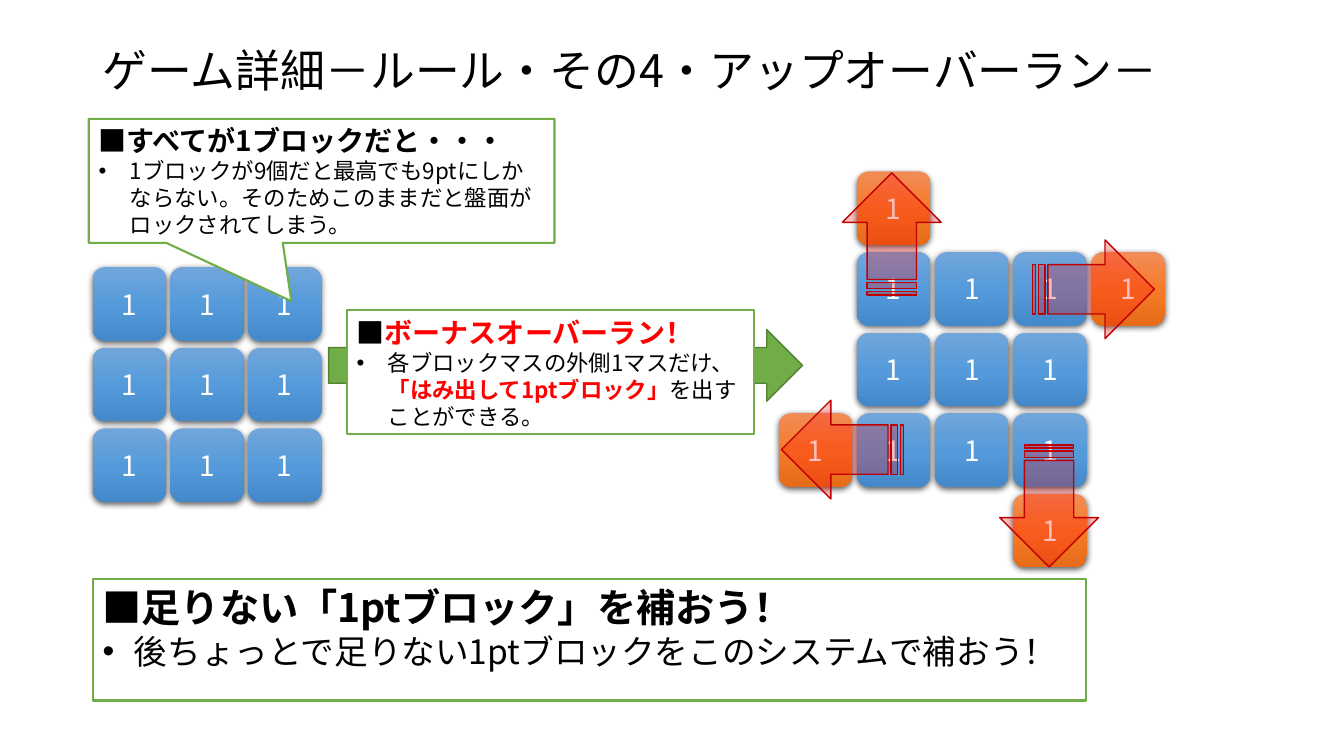
"""Build the slide on rule four of the block game, the up overrun."""
from lxml import etree
from pptx import Presentation
from pptx import util as u
from pptx.dml.color import RGBColor
from pptx.enum import shapes, text
from pptx.oxml.ns import qn

FONT = "Noto Sans CJK JP"
BLACK = RGBColor(0, 0, 0)
WHITE = RGBColor(255, 255, 255)
RED = RGBColor(255, 0, 0)
DARK_RED = RGBColor(0xC0, 0, 0)
GREEN = RGBColor(0x70, 0xAD, 0x47)
DARK_GREEN = RGBColor(0x53, 0x80, 0x35)
BLUES = ("71A6DB", "559BDB", "448ACA")
ORANGES = ("F18C57", "F67B28", "E56C19")

TITLE = "ゲーム詳細－ルール・その4・アップオーバーラン－"
PROBLEM = (
    [("■すべてが1ブロックだと・・・", BLACK, True)],
    [("1ブロックが9個だと最高でも9ptにしかならない。"
      "そのためこのままだと盤面がロックされてしまう。", BLACK, False)],
)
BONUS = (
    [("■", BLACK, True), ("ボーナスオーバーラン！", RED, True)],
    [("各ブロックマスの外側1マスだけ、", BLACK, False),
     ("「はみ出して1ptブロック」", RED, True),
     ("を出すことができる。", BLACK, False)],
)
ADVICE = (
    [("■足りない「1ptブロック」を補おう！", BLACK, True)],
    [("後ちょっとで足りない1ptブロックをこのシステムで補おう！", BLACK, False)],
)

SIDE = 0.73
GRID = [(col, row) for col in range(3) for row in range(3)]
LEFT = (0.92, 2.65, 0.77, 0.8)
RIGHT = (8.5, 2.5, 0.775, 0.8)
EXTRA = [(3, 0), (0, -1), (-1, 2), (2, 3)]
ARROWS = [(10.24, 2.38, 0), (9.8, 4.53, 90), (7.75, 3.97, 180), (8.24, 1.83, 270)]

KIND = shapes.MSO_SHAPE
ALIGN = text.PP_ALIGN
ANCHOR = text.MSO_ANCHOR


def write(shape, paras, sizes, align=ALIGN.LEFT, anchor=ANCHOR.TOP,
          bullet=False, space=1.0):
    """Fill a shape with paragraphs of (words, colour, bold) runs."""
    frame = shape.text_frame
    frame.word_wrap = True
    frame.vertical_anchor = anchor
    for num, (runs, size) in enumerate(zip(paras, sizes)):
        para = frame.add_paragraph() if num else frame.paragraphs[0]
        para.alignment = align
        para.line_spacing = space
        if bullet and num:
            props = para._p.get_or_add_pPr()
            props.set("marL", str(u.Inches(0.31)))
            props.set("indent", str(-u.Inches(0.31)))
            etree.SubElement(props, qn("a:buFont"), typeface="Arial")
            etree.SubElement(props, qn("a:buChar"), char="•")
        for words, color, bold in runs:
            run = para.add_run()
            run.text = words
            font = run.font
            font.name, font.size, font.bold = FONT, u.Pt(size), bold
            font.color.rgb = color
            etree.SubElement(run._r.rPr, qn("a:ea"), typeface=FONT)


def draw(slide, kind, place, fill=None, line=None, width=1.0):
    """Add a preset shape with a flat fill and a line."""
    shape = slide.shapes.add_shape(kind, *map(u.Inches, place))
    shape.shadow.inherit = False
    if fill is not None:
        shape.fill.solid()
        shape.fill.fore_color.rgb = fill
    if line is None:
        shape.line.fill.background()
    else:
        shape.line.color.rgb = line
        shape.line.width = u.Pt(width)
    return shape


def panel(slide, kind, place, paras, sizes):
    """Add a white green-edged box with a heading and a bullet."""
    shape = draw(slide, kind, place, WHITE, GREEN, 1.5)
    write(shape, paras, sizes, bullet=True)
    return shape


def block(slide, board, cell, tones):
    """Add one shaded block at a cell of a board."""
    left, top, across, down = board
    place = (left + cell[0] * across, top + cell[1] * down, SIDE, SIDE)
    shape = draw(slide, KIND.ROUNDED_RECTANGLE, place)
    shape.fill.gradient()
    shape.fill.gradient_angle = 270
    props = shape._element.spPr
    stops = props.find(".//" + qn("a:gsLst"))
    for stop in list(stops):
        stops.remove(stop)
    for num, tone in enumerate(tones):
        stop = etree.SubElement(stops, qn("a:gs"), pos=str(num * 50000))
        etree.SubElement(stop, qn("a:srgbClr"), val=tone)
    shade = etree.SubElement(
        props.find(qn("a:effectLst")), qn("a:outerShdw"), blurRad=str(u.Pt(4.5)),
        dist=str(u.Pt(1.5)), dir="5400000", algn="ctr", rotWithShape="0")
    color = etree.SubElement(shade, qn("a:srgbClr"), val="000000")
    etree.SubElement(color, qn("a:alpha"), val="63000")
    write(shape, [[("1", WHITE, False)]], [20], ALIGN.CENTER, ANCHOR.MIDDLE)


def arrow(slide, left, top, angle):
    """Add a see-through striped arrow turned by an angle."""
    shape = draw(slide, KIND.STRIPED_RIGHT_ARROW, (left, top, 1.21, 0.98), RED, DARK_RED)
    shape.rotation = angle
    color = shape._element.spPr.find(qn("a:solidFill")).find(qn("a:srgbClr"))
    etree.SubElement(color, qn("a:alpha"), val="25000")


def main():
    """Lay out the slide and save it."""
    deck = Presentation()
    deck.slide_width, deck.slide_height = u.Inches(13.33), u.Inches(7.5)
    slide = deck.slides.add_slide(deck.slide_layouts[6])

    title = slide.shapes.add_textbox(*map(u.Inches, (0.92, 0, 11.5, 1.45)))
    write(title, [[(TITLE, BLACK, False)]], [32], anchor=ANCHOR.MIDDLE, space=0.9)

    for cell in GRID:
        block(slide, LEFT, cell, BLUES)
    callout = panel(slide, KIND.RECTANGULAR_CALLOUT, (0.88, 1.18, 4.62, 1.23),
                    PROBLEM, (20, 16))
    callout.adjustments[0], callout.adjustments[1] = -0.065, 0.97

    draw(slide, KIND.RIGHT_ARROW, (3.26, 3.27, 4.7, 0.71), GREEN, DARK_GREEN)
    panel(slide, KIND.RECTANGLE, (3.44, 3.08, 4.04, 1.23), BONUS, (20, 16))

    for cell in GRID:
        block(slide, RIGHT, cell, BLUES)
    for cell in EXTRA:
        block(slide, RIGHT, cell, ORANGES)
    for spot in ARROWS:
        arrow(slide, *spot)

    panel(slide, KIND.RECTANGLE, (0.92, 5.74, 9.85, 1.21), ADVICE, (28, 24))
    deck.save("out.pptx")


if __name__ == "__main__":
    main()
